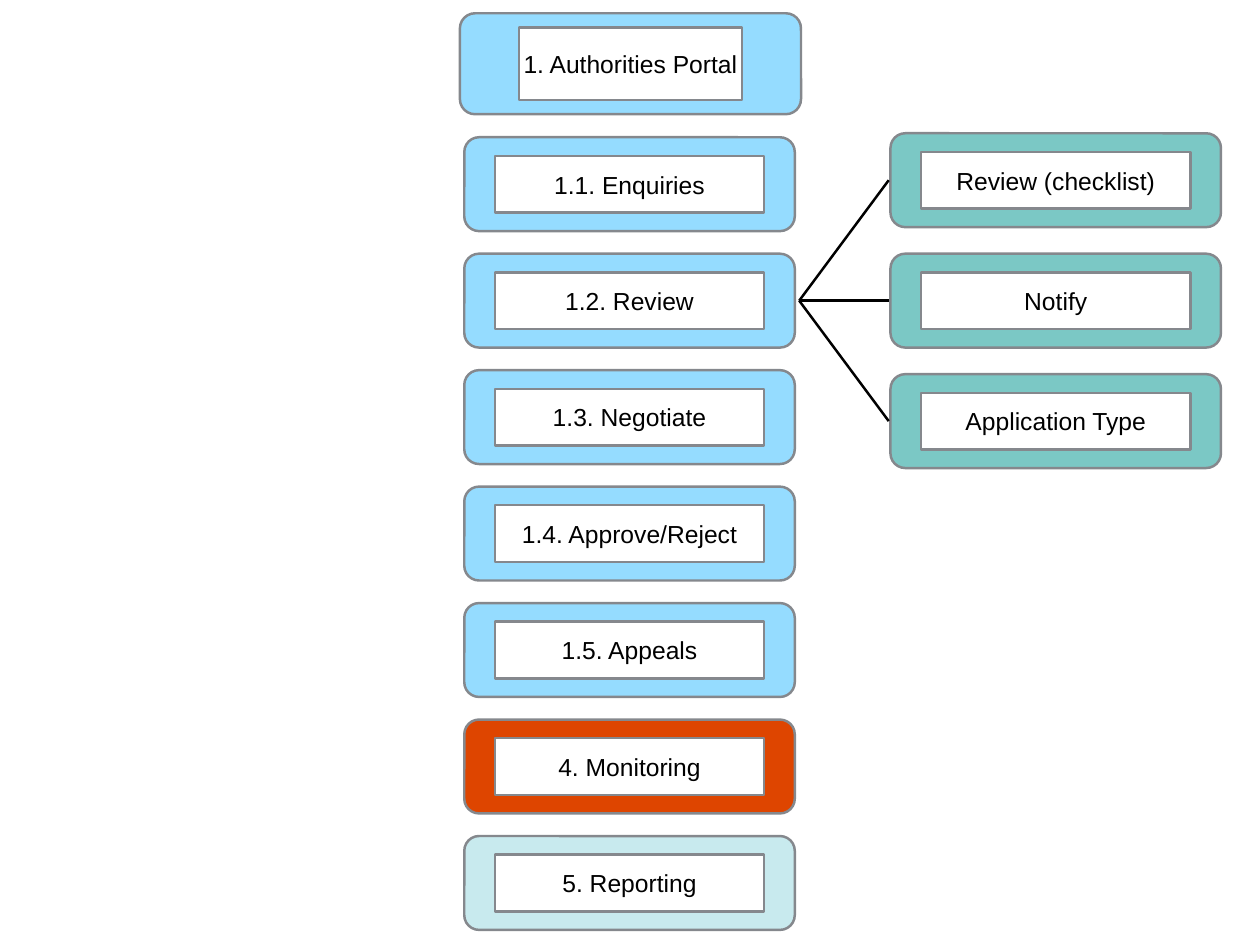
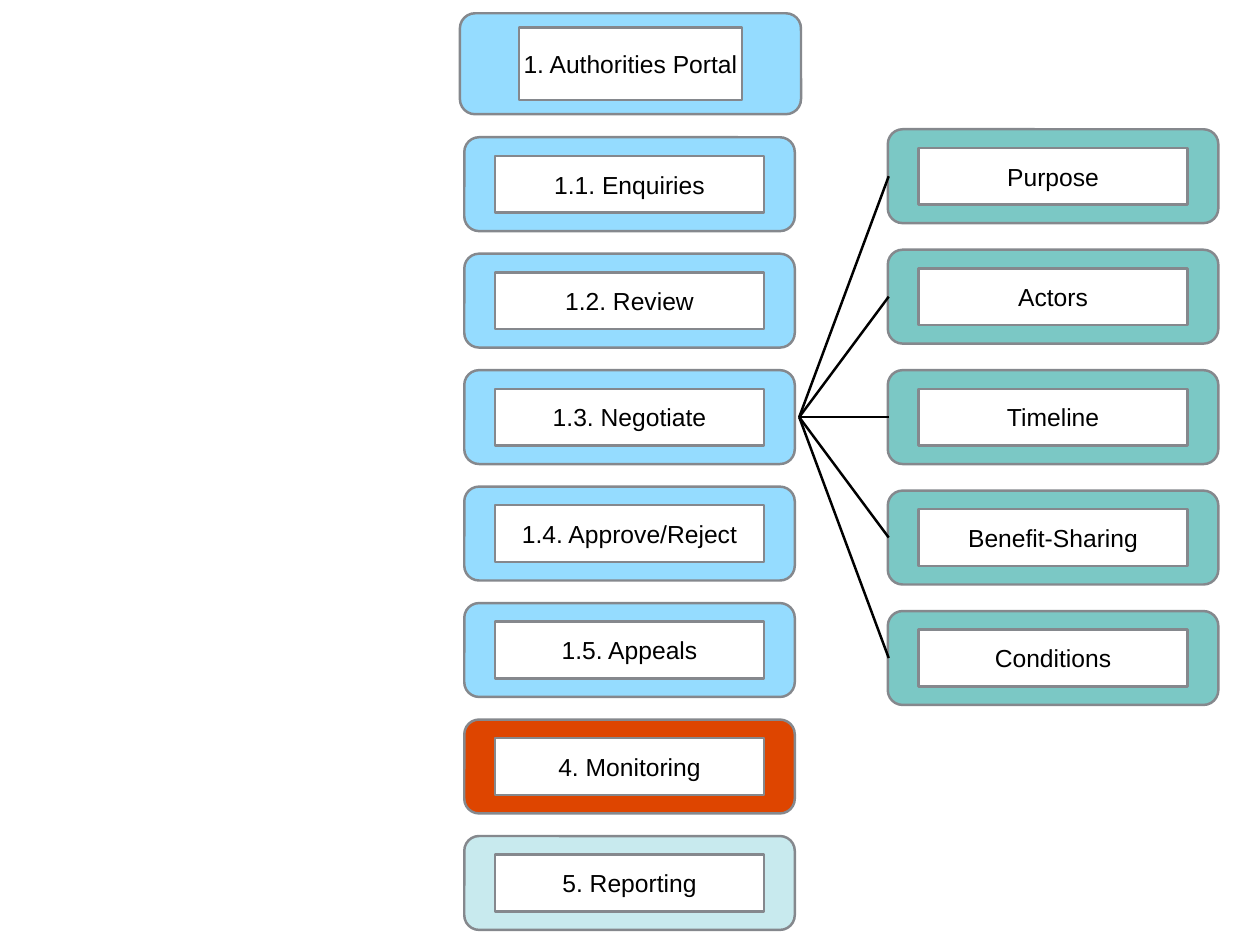
from pptx import Presentation
from pptx.dml.color import RGBColor
from pptx.enum.shapes import MSO_CONNECTOR, MSO_SHAPE
from pptx.enum.text import MSO_ANCHOR, PP_ALIGN
from pptx.oxml.ns import qn
from pptx.util import Inches, Pt
from lxml.etree import SubElement

# Colours
SKY = RGBColor(0x95, 0xDC, 0xFF)
TEAL = RGBColor(0x7B, 0xC8, 0xC5)
RED = RGBColor(0xDE, 0x45, 0x00)
PALE = RGBColor(0xC8, 0xEA, 0xEE)
GREY = RGBColor(0x85, 0x88, 0x8D)
WHITE = RGBColor(0xFF, 0xFF, 0xFF)
BLACK = RGBColor(0x00, 0x00, 0x00)

# Sizes in inches
BOX_W, BOX_H = 3.73, 1.06
LABEL = (3.04, 0.64)
STEP_LEFT, STEP_TOP, STEP_END = 5.24, 1.55, 9.44
HUB_X, TIP_X = 9.02, 10.03
PART_GAP = 1.36

STEPS = [
    ("1.1. Enquiries", SKY),
    ("1.2. Review", SKY),
    ("1.3. Negotiate", SKY),
    ("1.4. Approve/Reject", SKY),
    ("1.5. Appeals", SKY),
    ("4. Monitoring", RED),
    ("5. Reporting", PALE),
]
STEP_GAP = (STEP_END - STEP_TOP) / (len(STEPS) - 1)


def add_block(slide, kind, box, fill):
    shape = slide.shapes.add_shape(kind, *map(Inches, box))
    shape.shadow.inherit = False
    shape.fill.solid()
    shape.fill.fore_color.rgb = fill
    shape.line.color.rgb = GREY
    shape.line.width = Pt(2)
    return shape


def add_card(slide, box, text, fill, label=LABEL, bend=0.157):
    """Rounded frame with a white label centred in it."""
    left, top, width, height = box
    frame = add_block(slide, MSO_SHAPE.ROUNDED_RECTANGLE, box, fill)
    frame.adjustments[0] = bend

    wide, high = label
    inner = (left + (width - wide) / 2, top + (height - high) / 2, wide, high)
    body = add_block(slide, MSO_SHAPE.RECTANGLE, inner, WHITE).text_frame
    body.margin_left = body.margin_right = Inches(0.03)
    body.margin_top = body.margin_bottom = Inches(0.03)
    body.word_wrap = False
    body.vertical_anchor = MSO_ANCHOR.MIDDLE
    body.text = text
    line = body.paragraphs[0]
    line.alignment = PP_ALIGN.CENTER
    font = line.runs[0].font
    font.name, font.size = "Arial", Pt(20)
    font.color.rgb = BLACK


def add_link(slide, start, end):
    link = slide.shapes.add_connector(
        MSO_CONNECTOR.STRAIGHT, *map(Inches, start + end))
    link.line.color.rgb = BLACK
    link.line.width = Pt(2)
    SubElement(link._element.spPr, qn("a:effectLst"))


def add_steps(slide, left, top):
    """Column of portal steps."""
    for i, (text, fill) in enumerate(STEPS):
        add_card(slide, (left, top + i * STEP_GAP, BOX_W, BOX_H), text, fill)


def add_parts(slide, left, hub, parts):
    """Column of parts centred on the hub, each linked to it."""
    first = hub - PART_GAP * (len(parts) - 1) / 2
    for i, text in enumerate(parts):
        mid = first + i * PART_GAP
        add_card(slide, (left, mid - BOX_H / 2, BOX_W, BOX_H), text, TEAL)
        add_link(slide, (HUB_X, hub), (TIP_X, mid))


def add_page(deck, step, left, parts):
    slide = deck.slides.add_slide(deck.slide_layouts[6])
    add_card(slide, (5.19, 0.15, 3.85, 1.14), "1. Authorities Portal", SKY,
             label=(2.52, 0.82), bend=0.15)
    add_steps(slide, STEP_LEFT, STEP_TOP)
    hub = STEP_TOP + step * STEP_GAP + BOX_H / 2
    add_parts(slide, left, hub, parts)


deck = Presentation()
deck.slide_width, deck.slide_height = Inches(14.22), Inches(10.67)
add_page(deck, 1, 10.05, ["Review (checklist)", "Notify", "Application Type"])
add_page(deck, 2, 10.02, ["Purpose", "Actors", "Timeline", "Benefit-Sharing",
                          "Conditions"])
deck.save("out.pptx")
